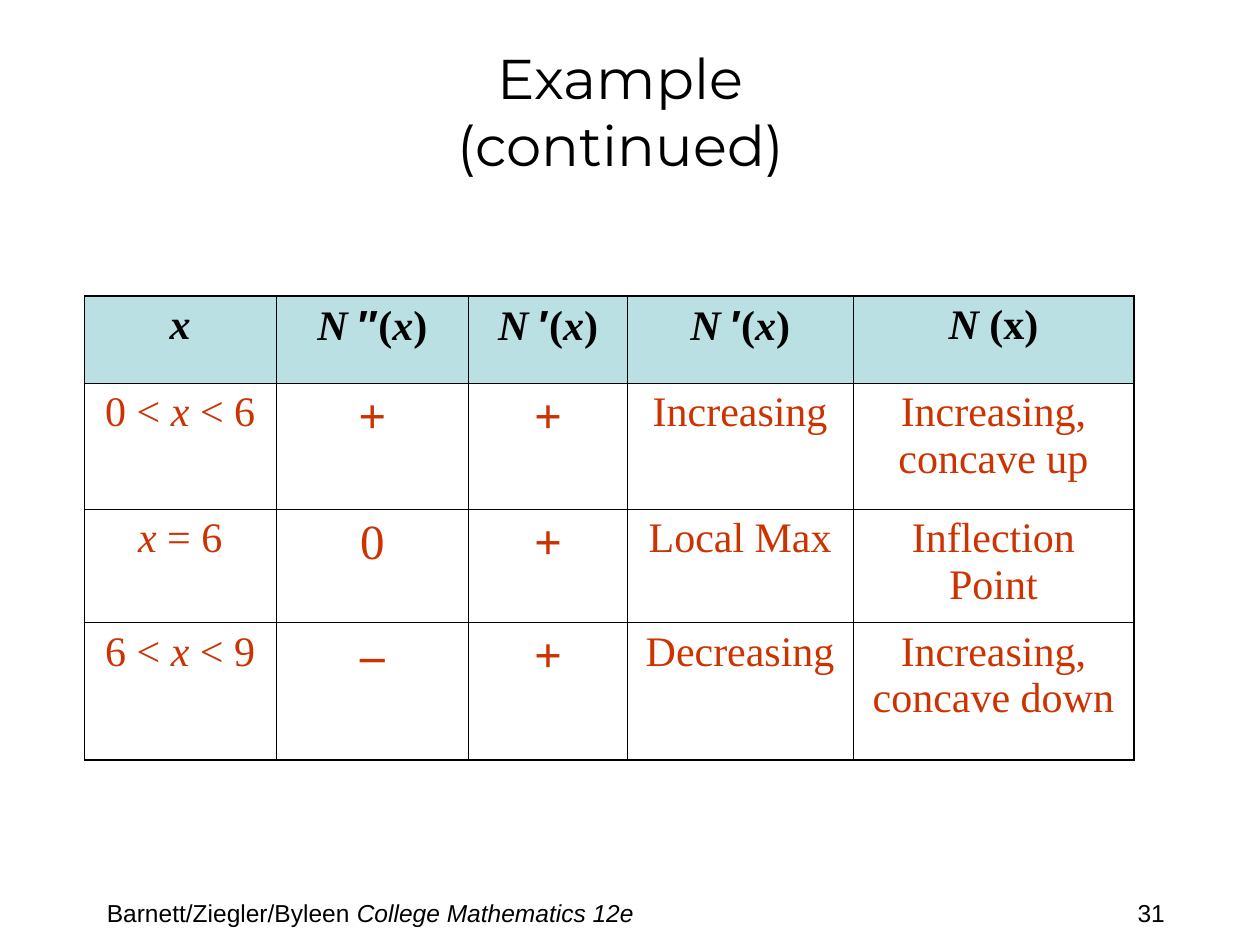
"""Build the slide with the sign table for N and its derivatives."""
import pptx
import pptx.dml.color
import pptx.enum.text
import pptx.oxml
import pptx.oxml.ns
import pptx.util
from pptx.util import Inches, Pt

COLORS = {"text": "000000", "body": "CC3300", "header": "BBE0E3", "border": "000000"}
SERIF, SANS, DISPLAY = "Times New Roman", "Arial", "Montserrat"
ITALIC, PRIME, PLAIN = "italic", "prime", "plain"
CENTER = pptx.enum.text.PP_ALIGN.CENTER

TITLE = ("Example", "(continued)")
FOOTER = [("Barnett/Ziegler/Byleen ", PLAIN), ("College Mathematics 12e", ITALIC)]
PAGE = [("31", PLAIN)]


def derivative(primes):
    return [("N ", ITALIC), (primes, PRIME), ("(", PLAIN), ("x", ITALIC), (")", PLAIN)]


HEADER = [
    [("x", ITALIC)],
    derivative("′′"),
    derivative("′"),
    derivative("′"),
    [("N", ITALIC), (" (x)", PLAIN)],
]
INTERVALS = [
    ([("0 < ", PLAIN), ("x ", ITALIC), ("< 6", PLAIN)],
     "+", "+", "Increasing", "Increasing, concave up"),
    ([("x", ITALIC), (" = 6", PLAIN)],
     "0", "+", "Local Max", "Inflection Point"),
    ([("6 < ", PLAIN), ("x", ITALIC), (" < 9", PLAIN)],
     "–", "+", "Decreasing", "Increasing, concave down"),
]
COLUMN_WIDTHS = [1.52, 1.53, 1.26, 1.79, 2.23]
ROW_HEIGHTS = [0.69, 1, 0.9, 1.09]
SIGN_COLUMNS = (1, 2)
OUTER, INNER = 1.08, 0.45


def rgb(name):
    return pptx.dml.color.RGBColor.from_string(COLORS[name])


def style(paragraph, face, size, color, bold=False):
    font = paragraph.font
    font.name, font.size, font.bold = face, Pt(size), bold
    font.color.rgb = rgb(color)


def write(paragraph, pieces):
    for text, look in pieces:
        run = paragraph.add_run()
        run.text = text
        if look == ITALIC:
            run.font.italic = True
        elif look == PRIME:
            run.font.name = SANS


def add_text(slide, left, top, width, height):
    frame = slide.shapes.add_textbox(*map(Inches, (left, top, width, height))).text_frame
    frame.word_wrap = True
    return frame


def set_borders(cell, widths):
    properties = cell._tc.get_or_add_tcPr()
    for position, (side, width) in enumerate(widths.items()):
        properties.insert(position, pptx.oxml.parse_xml(
            f'<a:{side} {pptx.oxml.ns.nsdecls("a")} w="{int(Pt(width))}"><a:solidFill>'
            f'<a:srgbClr val="{COLORS["border"]}"/></a:solidFill></a:{side}>'))


def fill_cell(cell, row, column, content):
    is_header = row == 0
    is_sign = not is_header and column in SIGN_COLUMNS
    paragraph = cell.text_frame.paragraphs[0]
    paragraph.alignment = CENTER
    paragraph.space_before = Pt(7 if is_sign else 6)
    style(paragraph, SERIF, 28 if is_sign else 24, "text" if is_header else "body",
          is_header or (is_sign and content != "0"))
    write(paragraph, [(content, PLAIN)] if isinstance(content, str) else content)
    if is_header:
        cell.fill.solid()
        cell.fill.fore_color.rgb = rgb("header")
    else:
        cell.fill.background()
    on_edge = {
        "lnL": column == 0,
        "lnR": column == len(COLUMN_WIDTHS) - 1,
        "lnT": row == 0,
        "lnB": row == len(ROW_HEIGHTS) - 1,
    }
    set_borders(cell, {side: OUTER if edge else INNER for side, edge in on_edge.items()})


def add_sign_table(slide):
    rows = [HEADER, *INTERVALS]
    table = slide.shapes.add_table(
        len(rows), len(COLUMN_WIDTHS), Inches(0.67), Inches(2.35),
        Inches(sum(COLUMN_WIDTHS)), Inches(sum(ROW_HEIGHTS))).table
    table.horz_banding = False
    for column, width in zip(table.columns, COLUMN_WIDTHS):
        column.width = Inches(width)
    for row, height in zip(table.rows, ROW_HEIGHTS):
        row.height = Inches(height)
    for row, contents in enumerate(rows):
        for column, content in enumerate(contents):
            fill_cell(table.cell(row, column), row, column, content)


def main():
    deck = pptx.Presentation()
    deck.slide_width, deck.slide_height = Inches(10), Inches(7.5)
    slide = deck.slides.add_slide(deck.slide_layouts[6])

    for box, pieces in [((8.93, 7.08, 1.09, 0.34), PAGE), ((0.75, 7.08, 5.83, 0.25), FOOTER)]:
        paragraph = add_text(slide, *box).paragraphs[0]
        style(paragraph, SANS, 14, "text")
        write(paragraph, pieces)

    title_frame = add_text(slide, 0.44, 0.25, 8.97, 1.25)
    title_frame.vertical_anchor = pptx.enum.text.MSO_ANCHOR.MIDDLE
    title = title_frame.paragraphs[0]
    title.alignment = CENTER
    style(title, DISPLAY, 32, "text")
    title.add_run().text = TITLE[0]
    title.add_line_break()
    title.add_run().text = TITLE[1]

    add_sign_table(slide)
    deck.save("out.pptx")


if __name__ == "__main__":
    main()
